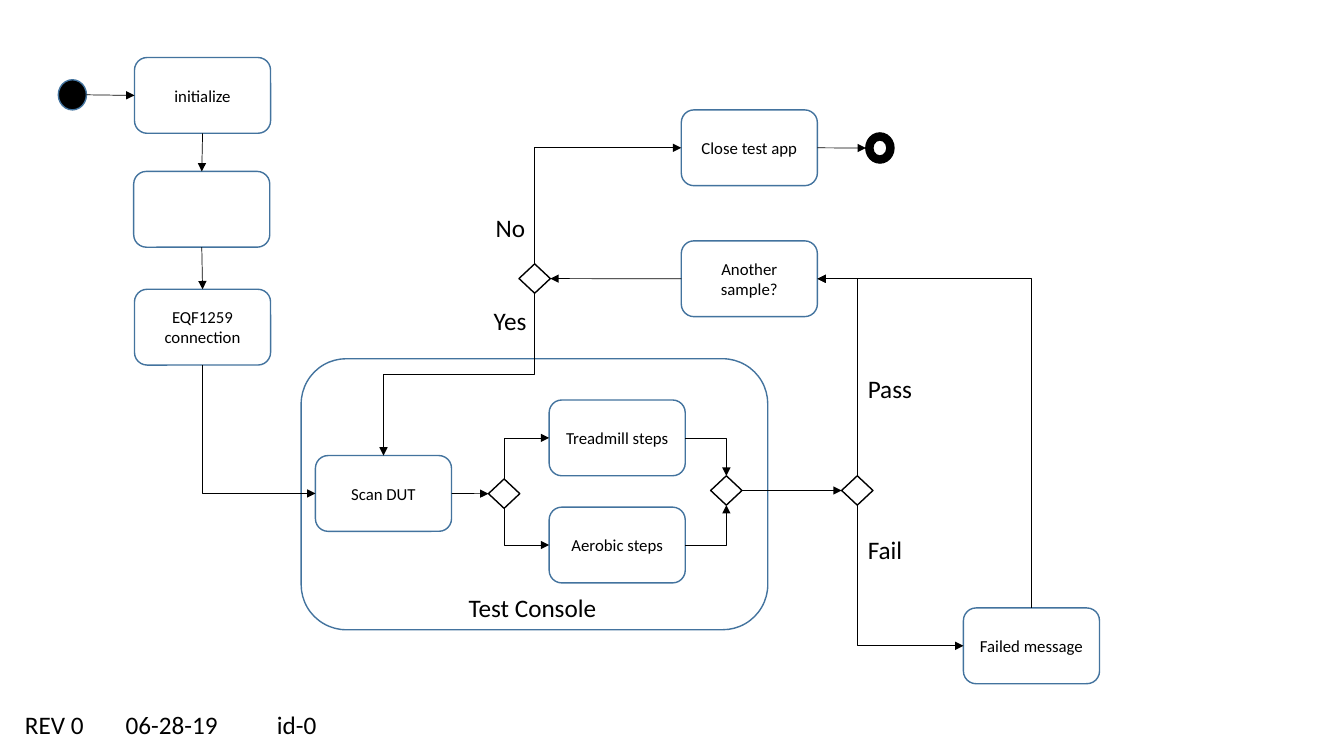
from dataclasses import dataclass
from typing import Any

from pptx import Presentation
from pptx.dml.color import RGBColor
from pptx.enum.shapes import MSO_CONNECTOR, MSO_SHAPE
from pptx.enum.text import MSO_ANCHOR, MSO_AUTO_SIZE, PP_ALIGN
from pptx.oxml.ns import qn
from pptx.util import Cm, Pt
from lxml.etree import SubElement

BLACK, WHITE, BLUE = "000000", "FFFFFF", "43739E"


@dataclass
class Kind:
    shape: MSO_SHAPE
    width: float
    height: float
    fill: str | None
    line: str


@dataclass
class Node:
    kind: Kind
    left: float
    top: float
    text: str = ""

    def side(self, name: str) -> tuple[float, float]:
        """Middle of the named side, in cm."""
        w, h = self.kind.width, self.kind.height
        dx, dy = {"top": (w / 2, 0), "bottom": (w / 2, h),
                  "left": (0, h / 2), "right": (w, h / 2)}[name]
        return self.left + dx, self.top + dy


@dataclass
class Arrow:
    source: str
    source_side: str
    target: str
    target_side: str


@dataclass
class Label:
    text: str
    left: float
    top: float
    width: float


STEP = Kind(MSO_SHAPE.ROUNDED_RECTANGLE, 3.43, 1.91, WHITE, BLUE)
CHOICE = Kind(MSO_SHAPE.DIAMOND, 0.79, 0.74, WHITE, BLACK)
START = Kind(MSO_SHAPE.OVAL, 0.71, 0.76, BLACK, BLUE)
END = Kind(MSO_SHAPE.DONUT, 0.71, 0.76, BLACK, BLACK)
FRAME = Kind(MSO_SHAPE.ROUNDED_RECTANGLE, 11.76, 6.83, None, BLUE)

NODES = {
    "start": Node(START, 1.47, 2.01),
    "initialize": Node(STEP, 3.39, 1.45, "initialize"),
    "unnamed": Node(STEP, 3.37, 4.32),
    "connection": Node(STEP, 3.39, 7.29, "EQF1259 connection"),
    "scan": Node(STEP, 7.95, 11.48, "Scan DUT"),
    "split": Node(CHOICE, 12.31, 12.07),
    "treadmill": Node(STEP, 13.84, 10.08, "Treadmill steps"),
    "aerobic": Node(STEP, 13.84, 12.78, "Aerobic steps"),
    "merge": Node(CHOICE, 17.91, 11.99),
    "result": Node(CHOICE, 21.21, 11.99),
    "failed": Node(STEP, 24.28, 15.32, "Failed message"),
    "another": Node(STEP, 17.17, 6.07, "Another sample?"),
    "repeat": Node(CHOICE, 13.08, 6.65),
    "close": Node(STEP, 17.17, 2.77, "Close test app"),
    "end": Node(END, 21.82, 3.35),
    "console": Node(FRAME, 7.59, 9.04),
}

ARROWS = [
    Arrow("start", "right", "initialize", "left"),
    Arrow("initialize", "bottom", "unnamed", "top"),
    Arrow("unnamed", "bottom", "connection", "top"),
    Arrow("connection", "bottom", "scan", "left"),
    Arrow("scan", "right", "split", "left"),
    Arrow("split", "top", "treadmill", "left"),
    Arrow("split", "bottom", "aerobic", "left"),
    Arrow("treadmill", "right", "merge", "top"),
    Arrow("aerobic", "right", "merge", "bottom"),
    Arrow("merge", "right", "result", "left"),
    Arrow("result", "top", "another", "right"),
    Arrow("result", "bottom", "failed", "left"),
    Arrow("failed", "top", "another", "right"),
    Arrow("another", "left", "repeat", "right"),
    Arrow("repeat", "top", "close", "left"),
    Arrow("repeat", "bottom", "scan", "top"),
    Arrow("close", "right", "end", "left"),
]

LABELS = [
    Label("No", 12.24, 5.23, 1.27),
    Label("Yes", 12.19, 7.57, 1.35),
    Label("Pass", 21.62, 9.27, 1.63),
    Label("Fail", 21.62, 13.34, 1.4),
    Label("Test Console", 11.56, 14.81, 3.76),
    Label("REV 0\t06-28-19\t\tid-0", 0.38, 17.75, 9.22),
]


def rgb(value: str) -> RGBColor:
    return RGBColor.from_string(value)


def apply(target: Any, formats: dict[str, Any]) -> None:
    for name, value in formats.items():
        setattr(target, name, value)


def write(tf: Any, text: str, size: int, align: PP_ALIGN) -> None:
    p = tf.paragraphs[0]
    p.alignment = align
    r = p.add_run()
    r.text = text
    apply(r.font, {"name": "Calibri", "size": Pt(size)})
    r.font.color.rgb = rgb(BLACK)


def add_node(s: Any, node: Node) -> None:
    kind = node.kind
    sp = s.shapes.add_shape(kind.shape, Cm(node.left), Cm(node.top),
                            Cm(kind.width), Cm(kind.height))
    sp.shadow.inherit = False
    if kind.fill:
        sp.fill.solid()
        sp.fill.fore_color.rgb = rgb(kind.fill)
    else:
        sp.fill.background()
    sp.line.color.rgb = rgb(kind.line)
    sp.line.width = Pt(1)
    if node.text:
        apply(sp.text_frame, {"word_wrap": True, "vertical_anchor": MSO_ANCHOR.MIDDLE})
        write(sp.text_frame, node.text, 12, PP_ALIGN.CENTER)


def add_arrow(s: Any, arrow: Arrow) -> None:
    x1, y1 = NODES[arrow.source].side(arrow.source_side)
    x2, y2 = NODES[arrow.target].side(arrow.target_side)
    vertical = ("top", "bottom")
    leaves_vertically = arrow.source_side in vertical
    preset, rotation, arrow_end = "line", 0, "a:tailEnd"
    if leaves_vertically != (arrow.target_side in vertical):
        preset = "bentConnector2"
        if leaves_vertically:
            # The preset runs sideways first, so draw it from the target
            x1, y1, x2, y2 = x2, y2, x1, y1
            arrow_end = "a:headEnd"
    elif leaves_vertically and abs(x2 - x1) > 1:
        # Down, across, down: a quarter turn of the three-part elbow
        preset, rotation = "bentConnector3", 90
        cx, cy, dx, dy = (x1 + x2) / 2, (y1 + y2) / 2, x1 - x2, y2 - y1
        x1, y1, x2, y2 = cx - dy / 2, cy - dx / 2, cx + dy / 2, cy + dx / 2

    route = MSO_CONNECTOR.STRAIGHT if preset == "line" else MSO_CONNECTOR.ELBOW
    sp = s.shapes.add_connector(route, Cm(x1), Cm(y1), Cm(x2), Cm(y2))
    sp.line.color.rgb = rgb(BLACK)
    sp.line.width = Pt(0.5)
    sp_pr = sp._element.spPr
    sp_pr.find(qn("a:prstGeom")).set("prst", preset)
    if rotation:
        sp_pr.find(qn("a:xfrm")).set("rot", str(rotation * 60000))
    SubElement(sp_pr.find(qn("a:ln")), qn(arrow_end), type="triangle")
    SubElement(sp_pr, qn("a:effectLst"))


def add_label(s: Any, label: Label) -> None:
    sp = s.shapes.add_textbox(Cm(label.left), Cm(label.top), Cm(label.width), Cm(1.02))
    apply(sp.text_frame, {"word_wrap": False, "auto_size": MSO_AUTO_SIZE.SHAPE_TO_FIT_TEXT})
    write(sp.text_frame, label.text, 18, PP_ALIGN.LEFT)


def main() -> None:
    prs = Presentation()
    apply(prs, {"slide_width": Cm(33.87), "slide_height": Cm(19.05)})
    s = prs.slides.add_slide(prs.slide_layouts[6])

    # Steps, choices and the console frame
    for node in NODES.values():
        add_node(s, node)
    # Flow between them
    for arrow in ARROWS:
        add_arrow(s, arrow)
    # Branch names, frame name and revision line
    for label in LABELS:
        add_label(s, label)

    prs.save("out.pptx")


if __name__ == "__main__":
    main()
